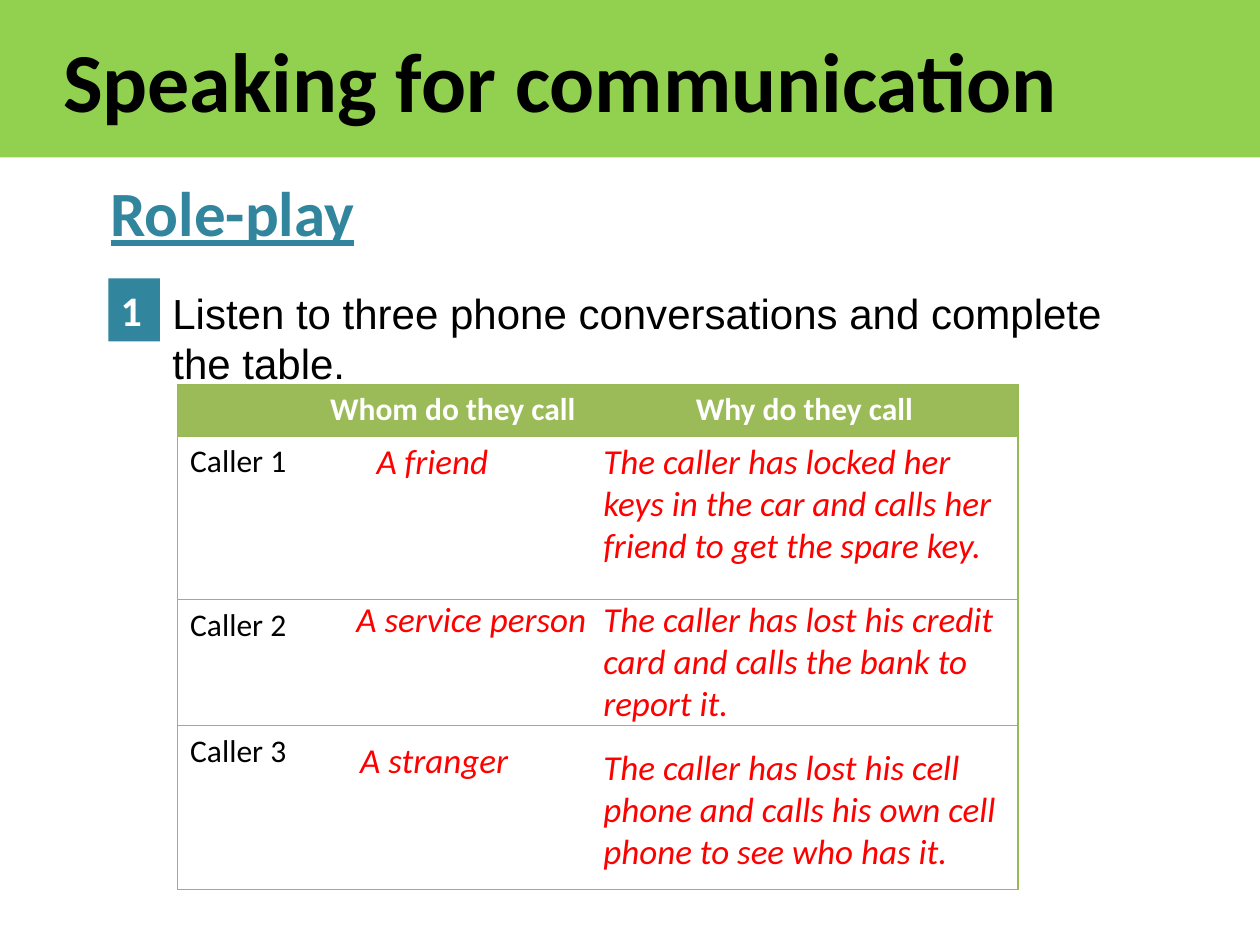
from lxml import etree
from pptx import Presentation
from pptx.dml.color import RGBColor
from pptx.enum.shapes import MSO_SHAPE
from pptx.enum.text import MSO_ANCHOR, MSO_AUTO_SIZE, PP_ALIGN
from pptx.oxml.ns import qn
from pptx.util import Inches, Pt

RECTANGLE = MSO_SHAPE.RECTANGLE
LEFT, CENTER = PP_ALIGN.LEFT, PP_ALIGN.CENTER
MIDDLE, TOP = MSO_ANCHOR.MIDDLE, MSO_ANCHOR.TOP
FIT_SHAPE, FIXED_SIZE = MSO_AUTO_SIZE.SHAPE_TO_FIT_TEXT, MSO_AUTO_SIZE.NONE

BANNER_GREEN = RGBColor(0x92, 0xD0, 0x50)
HEADER_GREEN = RGBColor(0x9B, 0xBB, 0x59)
BORDER_GREEN = RGBColor(0x98, 0xB9, 0x55)
TEAL = RGBColor(0x31, 0x85, 0x9C)
OUTLINE_BLUE = RGBColor(0x4B, 0xAC, 0xC6)
ANSWER_RED = RGBColor(0xFF, 0x00, 0x00)
BLACK = RGBColor(0x00, 0x00, 0x00)
WHITE = RGBColor(0xFF, 0xFF, 0xFF)

SLIDE_WIDTH, SLIDE_HEIGHT = 10, 7.5
BANNER_HEIGHT = SLIDE_HEIGHT / 6
PLAIN_TABLE_STYLE = "{2D5ABB26-0587-4C30-8999-92F81FD0307C}"

TABLE_LEFT, TABLE_TOP = 1.41, 3.05
COLUMN_WIDTHS = (1.09, 2.19, 3.39)
ROW_HEIGHTS = (0.41, 1.3, 1, 1.3)
TABLE_ROWS = (
    ("", "Whom do they call", "Why do they call"),
    ("Caller 1", "", ""),
    ("Caller 2", "", ""),
    ("Caller 3", "", ""),
)

REASON_LEFT = 4.69
# Text, left, top, width, height
ANSWERS = (
    ("The caller has locked her keys in the car and calls her friend "
     "to get the spare key.", REASON_LEFT, 3.44, 3.36, 1.11),
    ("A friend", 2.89, 3.44, 1.25, 0.44),
    ("A stranger", 2.76, 5.81, 2.56, 0.44),
    ("A service person", 2.73, 4.69, 2.11, 0.44),
    ("The caller has lost his credit card and calls the bank "
     "to report it.", REASON_LEFT, 4.69, 3.67, 1.11),
    ("The caller has lost his cell phone and calls his own cell phone "
     "to see who has it.", REASON_LEFT, 5.87, 3.44, 1.11),
)


def write(text_frame, text, size, color, name="Calibri", align=LEFT,
          bold=False, italic=False):
    """Put one formatted paragraph into a text frame."""
    text_frame.text = text
    paragraph = text_frame.paragraphs[0]
    paragraph.alignment = align
    for run in paragraph.runs:
        font = run.font
        font.name, font.size = name, Pt(size)
        font.bold, font.italic = bold, italic
        font.color.rgb = color
    return paragraph


def add_line(parent, tag, color, position):
    """Insert a 0.75 pt solid line element into text or cell properties."""
    line = etree.Element(qn(tag), w=str(Pt(0.75)))
    fill = etree.SubElement(line, qn("a:solidFill"))
    etree.SubElement(fill, qn("a:srgbClr"), val=str(color))
    parent.insert(position, line)


def add_text(shapes, text, box, size, color, wrap=True, **style):
    text_box = shapes.add_textbox(*map(Inches, box))
    frame = text_box.text_frame
    frame.word_wrap = wrap
    frame.auto_size = FIT_SHAPE
    return write(frame, text, size, color, **style)


def add_banner_title(slide):
    title = slide.shapes.title
    title.left, title.top = 0, 0
    title.width, title.height = Inches(SLIDE_WIDTH), Inches(BANNER_HEIGHT)
    title.fill.solid()
    title.fill.fore_color.rgb = BANNER_GREEN
    frame = title.text_frame
    frame.auto_size = FIXED_SIZE
    frame.vertical_anchor = MIDDLE
    paragraph = write(frame, "Speaking for communication", 48, BLACK, bold=True)
    paragraph._p.get_or_add_pPr().set("indent", str(Inches(0.4)))


def add_heading(slide):
    paragraph = add_text(slide.shapes, "Role-play", (0.78, 1.33, 2.16, 0.71),
                         36, TEAL, wrap=False, bold=True)
    run = paragraph.runs[0]
    run.font.underline = True
    add_line(run.font._element, "a:ln", OUTLINE_BLUE, 0)


def add_task(slide):
    """Numbered badge grouped with its instruction."""
    group = slide.shapes.add_group_shape()
    badge = group.shapes.add_shape(
        RECTANGLE, *map(Inches, (0.86, 2.21, 0.41, 0.5)))
    badge.shadow.inherit = False
    badge.fill.solid()
    badge.fill.fore_color.rgb = TEAL
    badge.line.fill.background()
    badge.text_frame.vertical_anchor = TOP
    badge.text_frame.auto_size = FIT_SHAPE
    write(badge.text_frame, "1", 24, WHITE, bold=True)
    add_text(group.shapes,
             "Listen to three phone conversations and complete the table.",
             (1.27, 2.23, 7.71, 0.91), 24, BLACK, name="Arial")


def add_cell_borders(cell, column):
    sides = ["a:lnT", "a:lnB"]
    if column == 0:
        sides.insert(0, "a:lnL")
    elif column == len(COLUMN_WIDTHS) - 1:
        sides.insert(0, "a:lnR")
    properties = cell._tc.get_or_add_tcPr()
    for position, side in enumerate(sides):
        add_line(properties, side, BORDER_GREEN, position)


def add_caller_table(slide):
    frame = slide.shapes.add_table(
        len(TABLE_ROWS), len(COLUMN_WIDTHS), Inches(TABLE_LEFT),
        Inches(TABLE_TOP), Inches(sum(COLUMN_WIDTHS)), Inches(sum(ROW_HEIGHTS)))
    table = frame.table
    table.horz_banding = False
    table._tbl.tblPr.find(qn("a:tableStyleId")).text = PLAIN_TABLE_STYLE
    for column, width in zip(table.columns, COLUMN_WIDTHS):
        column.width = Inches(width)
    for row_index, (row, height) in enumerate(zip(table.rows, ROW_HEIGHTS)):
        row.height = Inches(height)
        header = row_index == 0
        for column_index, cell in enumerate(row.cells):
            if header:
                cell.fill.solid()
                cell.fill.fore_color.rgb = HEADER_GREEN
            else:
                cell.fill.background()
            write(cell.text_frame, TABLE_ROWS[row_index][column_index], 18,
                  WHITE if header else BLACK,
                  align=CENTER if header else LEFT, bold=header)
            add_cell_borders(cell, column_index)


def main():
    presentation = Presentation()
    presentation.slide_width = Inches(SLIDE_WIDTH)
    presentation.slide_height = Inches(SLIDE_HEIGHT)
    slide = presentation.slides.add_slide(presentation.slide_layouts[5])

    # Title, heading and task
    add_banner_title(slide)
    add_heading(slide)
    add_task(slide)

    # Table with the answers laid over it
    add_caller_table(slide)
    for text, *box in ANSWERS:
        add_text(slide.shapes, text, box, 20, ANSWER_RED, italic=True)

    presentation.save("out.pptx")


if __name__ == "__main__":
    main()
